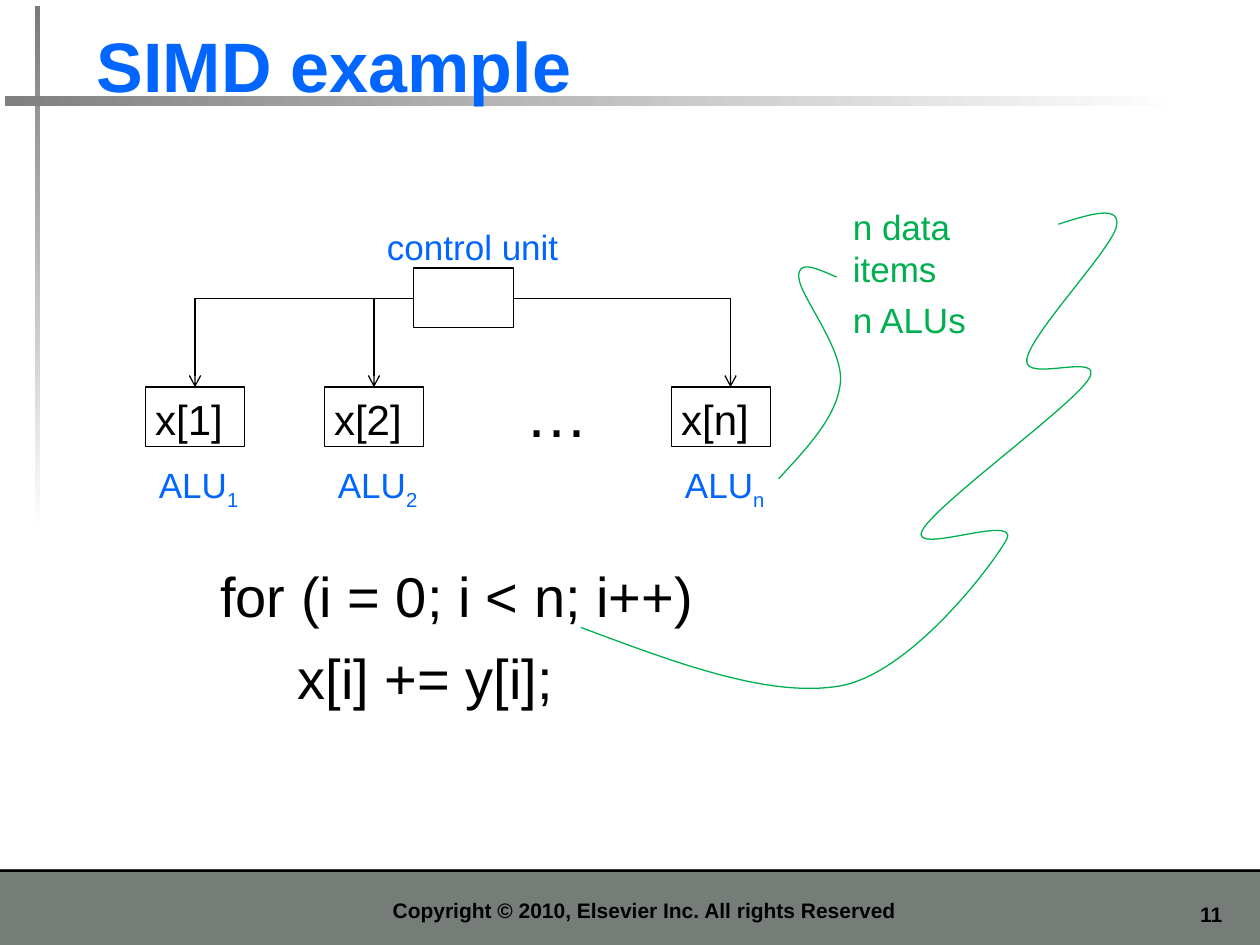
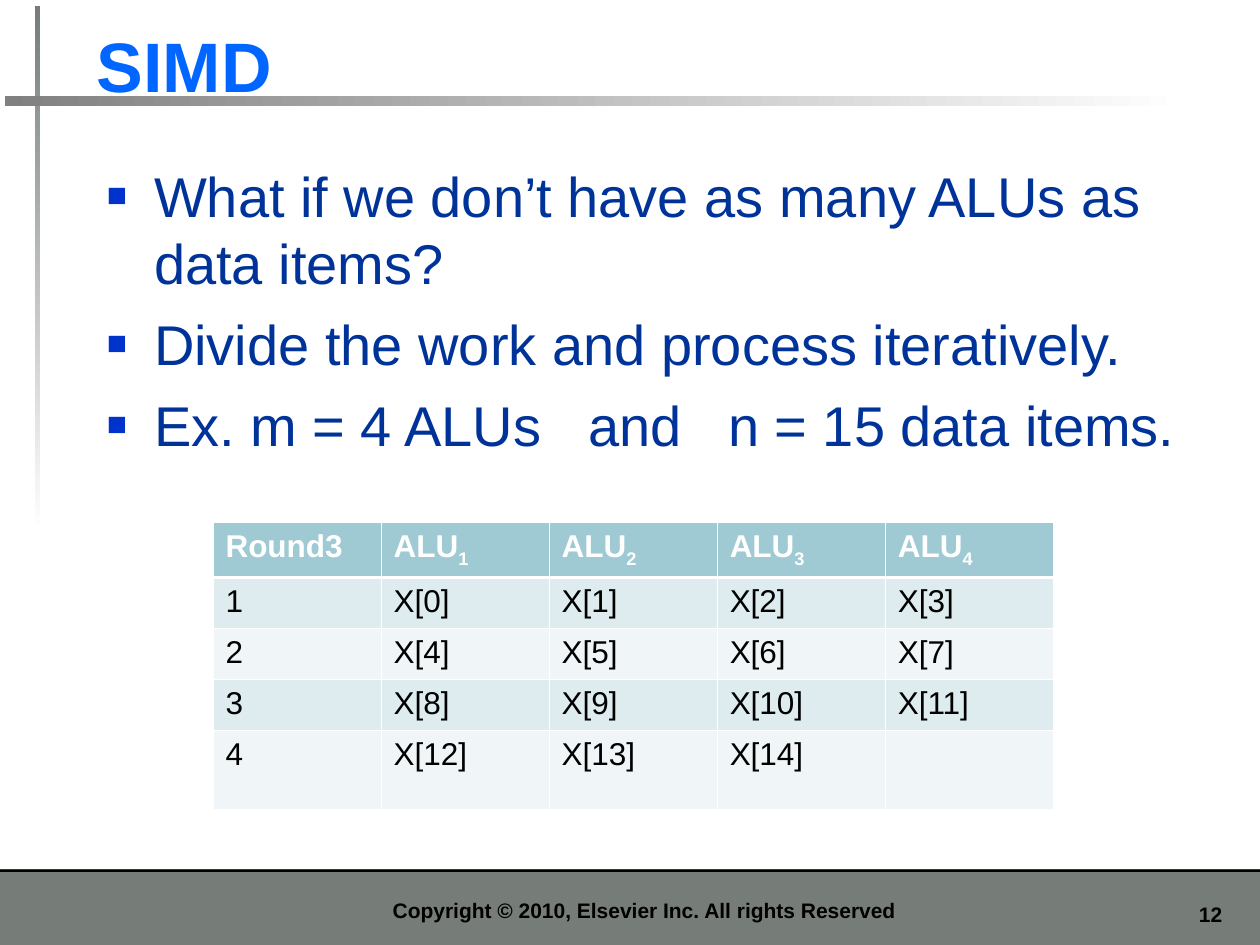
from dataclasses import dataclass
from lxml.etree import SubElement as Sub
from pptx import Presentation
from pptx.dml.color import RGBColor as Rgb
from pptx.enum.shapes import MSO_CONNECTOR as Conn, MSO_SHAPE as Form
from pptx.enum.text import (MSO_ANCHOR as Anchor, MSO_AUTO_SIZE as Auto,
                            PP_ALIGN as Align)
from pptx.oxml.ns import qn
from pptx.util import Inches, Pt


@dataclass(frozen=True)
class Theme:
    """Colours, font and type sizes of the deck."""
    font: str = "Arial"
    title: str = "0066FF"
    body: str = "003399"
    mark: str = "0033CC"
    note: str = "00B050"
    ink: str = "000000"
    paper: str = "FFFFFF"
    band: str = "767D79"
    rule: str = "808080"
    head: str = "9FCAD3"
    odd: str = "DFECEF"
    even: str = "F0F6F7"
    big: int = 40
    dots: int = 36
    text: int = 32
    item: int = 24
    label: int = 20
    cell: int = 18
    foot: int = 12
    thin: float = 0.75


@dataclass(frozen=True)
class Box:
    """An area counted in columns and rows of a 100 by 75 grid."""
    x: float
    y: float
    w: float
    h: float

    def at(self, x, y, w, h):
        """Return a box placed from this box's corner."""
        return Box(self.x + x, self.y + y, w, h)

    def emu(self):
        """Return left, top, width and height as lengths."""
        return [Inches(v / 10) for v in (self.x, self.y, self.w, self.h)]

    def spot(self, x, y):
        """Return a point placed from this box's corner."""
        return Inches((self.x + x) / 10), Inches((self.y + y) / 10)


T = Theme()
PAGE = Box(0, 0, 100, 75)


def rgb(code):
    """Turn a hex code into a colour."""
    return Rgb.from_string(code)


def style(run, size, color, bold=False):
    """Set the font of one run."""
    font = run.font
    font.name, font.size, font.bold = T.font, Pt(size), bold
    font.color.rgb = rgb(color)


def fill_par(par, text, size, color, bold=False):
    """Write text in a paragraph, with a subscript after an underscore."""
    for i, part in enumerate(text.split("_")):
        run = par.add_run()
        run.text = part
        style(run, size, color, bold)
        if i:
            run.font._element.set("baseline", "-25000")


def write(slide, box, lines, size, color, bold=False, wrap=False,
          anchor=Anchor.TOP, align=Align.LEFT, gap=0):
    """Add a text box with one paragraph for each line."""
    frame = slide.shapes.add_textbox(*box.emu()).text_frame
    frame.word_wrap, frame.vertical_anchor = wrap, anchor
    frame.auto_size = Auto.NONE if wrap else Auto.SHAPE_TO_FIT_TEXT
    for i, line in enumerate(lines):
        par = frame.add_paragraph() if i else frame.paragraphs[0]
        par.alignment = align
        if i:
            par.space_before = Pt(gap)
        fill_par(par, line, size, color, bold)
    return frame


def block(slide, box, color=None, fade=None):
    """Add a plain, faded or outlined rectangle."""
    shape = slide.shapes.add_shape(Form.RECTANGLE, *box.emu())
    shape.shadow.inherit = False
    if fade is not None:
        shape.fill.gradient()
        shape.fill.gradient_angle = fade
        for stop, code in zip(shape.fill.gradient_stops, (color, T.paper)):
            stop.color.rgb = rgb(code)
    elif color:
        shape.fill.solid()
        shape.fill.fore_color.rgb = rgb(color)
    else:
        shape.fill.background()
    if color:
        shape.line.fill.background()
    else:
        pen(shape.line, T.ink)
    return shape


def pen(line, color):
    """Set a thin line in one colour."""
    line.color.rgb, line.width = rgb(color), Pt(T.thin)


def arrow(slide, kind, start, end):
    """Draw a straight or once-bent arrow between two points."""
    wire = slide.shapes.add_connector(kind, *start, *end)
    pen(wire.line, T.ink)
    prop = wire._element.spPr
    if kind == Conn.ELBOW:
        prop.find(qn("a:prstGeom")).set("prst", "bentConnector2")
    Sub(prop.find(qn("a:ln")), qn("a:tailEnd"), type="arrow")
    Sub(prop, qn("a:effectLst"))
    return wire


def curve(slide, box, start, *bends):
    """Draw an open line through cubic bends."""
    path = slide.shapes.build_freeform(*box.spot(*start))
    path.add_line_segments([box.spot(*knot) for bend in bends
                            for knot in bend], close=False)
    shape = path.convert_to_shape()
    shape.shadow.inherit = False
    shape.fill.background()
    pen(shape.line, T.note)
    legs = list(shape._element.iter(qn("a:lnTo")))
    for i in range(0, len(legs), 3):
        bend = Sub(legs[i].getparent(), qn("a:cubicBezTo"))
        for leg in legs[i:i + 3]:
            bend.append(leg[0])
            leg.getparent().remove(leg)


def base(deck, title, page):
    """Add a slide with its bands, rules, title and footer."""
    slide = deck.slides.add_slide(deck.slide_layouts[6])
    foot = PAGE.at(0, 69, 100, 6)
    block(slide, foot, T.band)
    block(slide, foot.at(0, 0, 100, 0.2), T.ink)
    write(slide, foot.at(91.7, 2.1, 6.3, 3), [str(page)], T.foot, T.ink,
          True, True, align=Align.RIGHT)
    block(slide, PAGE.at(2.8, 0.5, 0.4, 41.7), T.band, 270)
    block(slide, PAGE.at(0.4, 7.6, 93.7, 0.8), T.rule, 0)
    write(slide, PAGE.at(6.7, 1.25, 90.6, 7.7), [title], T.big, T.title,
          True, True, Anchor.BOTTOM)
    write(slide, foot.at(11.4, 0.8, 79.5, 3.9),
          ["Copyright © 2010, Elsevier Inc. All rights Reserved"],
          T.foot, T.ink, True, True, Anchor.BOTTOM, Align.CENTER)
    return slide


def units(slide, box):
    """Draw the control unit and the row of ALUs it drives."""
    block(slide, box.at(21.3, 3.85, 7.9, 4.7))
    write(slide, box.at(18.2, 0, 15.6, 4.4), ["control unit"],
          T.label, T.title)
    cells = []
    for x, name in ((0, "1"), (14.2, "2"), (41.75, "n")):
        cells.append(block(slide, box.at(x, 13.3, 7.9, 4.7)))
        write(slide, box.at(x - 0.2, 13.3, 8.2, 5), [f"x[{name}]"],
              T.item, T.ink)
        write(slide, box.at(x + 0.1, 18.9, 8.3, 4.8), [f"ALU_{name}"],
              T.label, T.title)
    write(slide, box.at(29.2, 11.8, 7, 7), ["…"], T.dots, T.ink)
    for start, end in ((21.3, 3.95), (29.2, 46.45)):
        arrow(slide, Conn.ELBOW, box.spot(start, 6.25), box.spot(end, 13.3))
    tap = box.spot(18.15, 6.25)
    arrow(slide, Conn.STRAIGHT, tap, tap).end_connect(cells[1], 0)


def notes(slide, box):
    """Write the two counts and lead a curve from each to its place."""
    write(slide, box.at(20.7, 0, 17.1, 8.4), ["n data items", "n ALUs"],
          T.label, T.note, gap=5)
    curve(slide, box, (20.4, 6.2),
          ((18.8, 5.5), (17.3, 4.8), (17.4, 6.2)),
          ((17.4, 7.6), (21, 11.9), (20.7, 14.6)),
          ((20.4, 17.3), (18.1, 19.7), (15.8, 22.2)))
    curve(slide, box, (38, 2),
          ((40.5, 1.2), (43, 0.4), (42.6, 2.2)),
          ((42.2, 4), (35.8, 10.7), (35.5, 12.7)),
          ((35.1, 14.7), (41.8, 12), (40.4, 14.3)),
          ((39, 16.5), (28.3, 24.2), (27.2, 26.3)),
          ((26.1, 28.4), (34.9, 24.9), (33.9, 27)),
          ((32.8, 29), (26.5, 37.4), (20.9, 38.6)),
          ((15.2, 39.7), (7.6, 36.8), (0.1, 34)))


def points(slide, box, lines, stops):
    """Write a list with square bullets and tab stops."""
    frame = write(slide, box, lines, T.text, T.body, wrap=True, gap=8)
    for par in frame.paragraphs:
        prop = par._p.get_or_add_pPr()
        prop.set("marL", str(Pt(27)))
        prop.set("indent", str(Pt(-27)))
        Sub(Sub(prop, qn("a:buClr")), qn("a:srgbClr"), val=T.mark)
        Sub(prop, qn("a:buSzPct"), val="60000")
        Sub(prop, qn("a:buFont"), typeface=T.font)
        Sub(prop, qn("a:buChar"), char="■")
        if "\t" in par.text:
            tabs = Sub(prop, qn("a:tabLst"))
            for stop in stops:
                Sub(tabs, qn("a:tab"), pos=str(Inches(stop / 10)), algn="l")


def edge(cell, top, low):
    """Draw white borders around a cell."""
    prop = cell._tc.get_or_add_tcPr()
    for i, (name, wide) in enumerate(
            (("L", 0.45), ("R", 0.45), ("T", top), ("B", low))):
        line = prop.makeelement(qn(f"a:ln{name}"), {"w": str(Pt(wide))})
        Sub(Sub(line, qn("a:solidFill")), qn("a:srgbClr"), val=T.paper)
        prop.insert(i, line)


def rounds(slide, box, count, items):
    """Tabulate which item each ALU handles in each round."""
    high = [4.38, 4.05, 4.05, 4.05, 6.3]
    data = [["Round3"] + [f"ALU_{i + 1}" for i in range(count)]]
    for row in range(len(high) - 1):
        spots = range(row * count, (row + 1) * count)
        data.append([str(row + 1)]
                    + [f"X[{i}]" if i < items else "" for i in spots])
    grid = slide.shapes.add_table(len(data), count + 1, *box.emu()).table
    for col in grid.columns:
        col.width = Inches(box.w / 10 / (count + 1))
    for r, row in enumerate(data):
        grid.rows[r].height = Inches(high[r] / 10)
        for c, text in enumerate(row):
            cell = grid.cell(r, c)
            cell.fill.solid()
            shade = T.head if r == 0 else T.odd if r % 2 else T.even
            cell.fill.fore_color.rgb = rgb(shade)
            edge(cell, 1.47 if r == 1 else 0.45, 1.47 if r == 0 else 0.45)
            if text:
                fill_par(cell.text_frame.paragraphs[0], text, T.cell,
                         T.ink if r else T.paper, r == 0)


def main():
    """Build the two slides and save them."""
    deck = Presentation()
    deck.slide_width, deck.slide_height = PAGE.emu()[2:]
    slide = base(deck, "SIMD example", 11)
    units(slide, PAGE.at(11.53, 17.43, 50, 24))
    write(slide, PAGE.at(16.5, 44.1, 41.6, 12.8),
          ["for (i = 0; i < n; i++)", "     x[i] += y[i];"],
          T.text, T.ink, gap=8)
    notes(slide, PAGE.at(46, 15.8, 43, 40))
    slide = base(deck, "SIMD", 12)
    points(slide, PAGE.at(7.5, 12.3, 90.4, 28.3),
           ["What if we don’t have as many ALUs as data items?",
            "Divide the work and process iteratively.",
            "Ex. m = 4 ALUs\tand\tn = 15 data items."], (38.2, 49.3))
    rounds(slide, PAGE.at(16.9, 41.45, 66.7, 22.8), 4, 15)
    deck.save("out.pptx")


if __name__ == "__main__":
    main()
